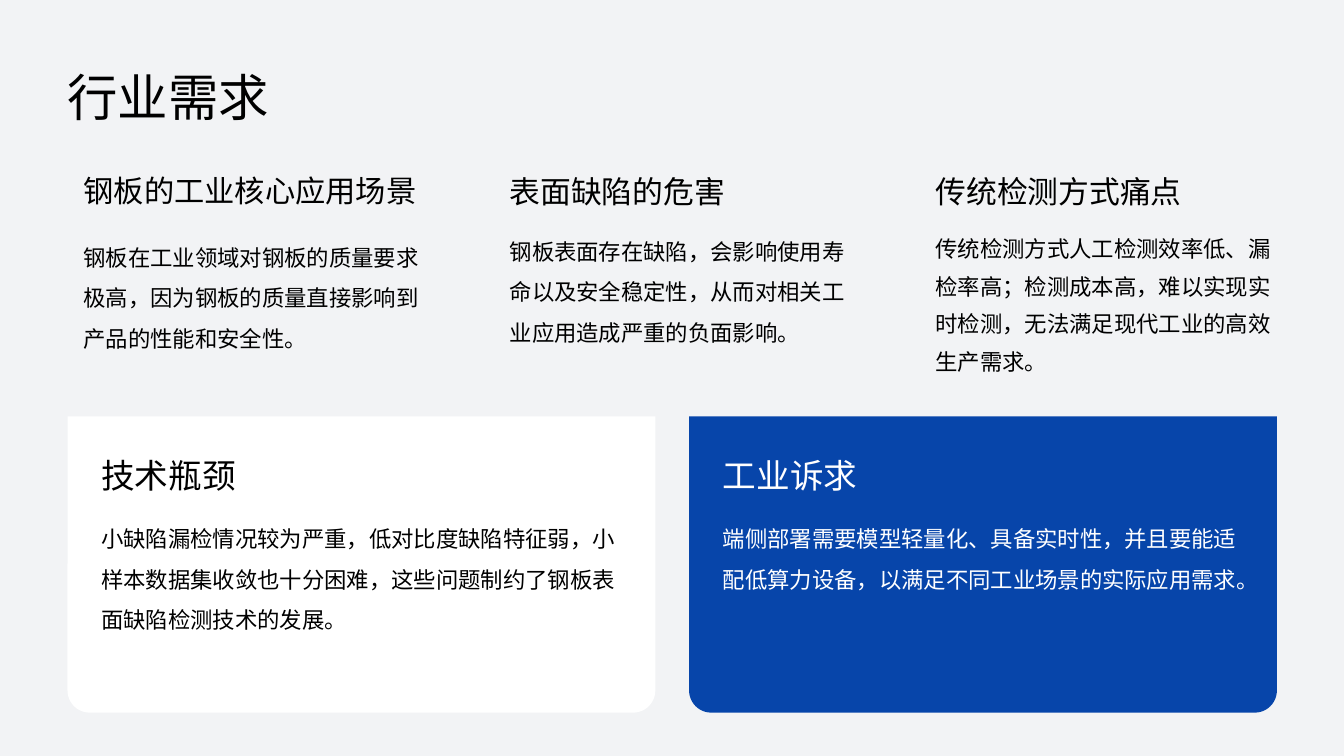
from dataclasses import dataclass

from lxml import etree
from pptx import Presentation
from pptx.dml.color import RGBColor
from pptx.enum.shapes import MSO_SHAPE
from pptx.enum.text import MSO_ANCHOR, PP_ALIGN
from pptx.oxml.ns import qn
from pptx.util import Inches, Pt

BOTTOM_ROUNDED = MSO_SHAPE.ROUND_2_SAME_RECTANGLE
TOP = MSO_ANCHOR.TOP
LEFT = PP_ALIGN.LEFT


@dataclass(frozen=True)
class Theme:
    font: str = "Noto Sans CJK SC"
    background: str = "F2F3F5"
    ink: str = "000000"
    white: str = "FFFFFF"
    blue: str = "0745AA"
    title: float = 36
    topic: float = 22
    long_topic: float = 21.6
    card_heading: float = 24
    body: float = 16
    heading_spacing: float = 1.11
    body_spacing: float = 1.5
    tight_spacing: float = 1.4


THEME = Theme()

# Heading, heading size, body, body top, body line spacing
TOPICS = [
    ("钢板的工业核心应用场景", THEME.long_topic,
     "钢板在工业领域对钢板的质量要求极高，因为钢板的质量直接影响到产品的性能和安全性。",
     2.29, THEME.body_spacing),
    ("表面缺陷的危害", THEME.topic,
     "钢板表面存在缺陷，会影响使用寿命以及安全稳定性，从而对相关工业应用造成严重的负面影响。",
     2.23, THEME.body_spacing),
    ("传统检测方式痛点", THEME.topic,
     "传统检测方式人工检测效率低、漏检率高；检测成本高，难以实现实时检测，无法满足现代工业的高效生产需求。",
     2.23, THEME.tight_spacing),
]

# Heading, body, fill colour, text colour
CARDS = [
    ("技术瓶颈",
     "小缺陷漏检情况较为严重，低对比度缺陷特征弱，小样本数据集收敛也十分困难，这些问题制约了钢板表面缺陷检测技术的发展。",
     THEME.white, THEME.ink),
    ("工业诉求",
     "端侧部署需要模型轻量化、具备实时性，并且要能适配低算力设备，以满足不同工业场景的实际应用需求。",
     THEME.blue, THEME.white),
]

# Layout in inches
MARGIN = 0.67
TOPIC_LEFT, TOPIC_PITCH, TOPIC_WIDTH = 0.83, 4.225, 3.39
CARD_TOP, CARD_WIDTH, CARD_HEIGHT, CARD_PITCH = 4.13, 5.83, 2.94, 6.165
CARD_PADDING, CARD_RADIUS = 0.335, 0.22
HEADING_HEIGHT, BODY_HEIGHT = 0.44, 1.67


def add_text(slide, text, left, top, width, height, size, spacing, color=THEME.ink):
    box = slide.shapes.add_textbox(Inches(left), Inches(top), Inches(width), Inches(height))
    frame_format = {
        "word_wrap": True, "vertical_anchor": TOP,
        "margin_left": 0, "margin_top": 0, "margin_right": 0, "margin_bottom": 0,
    }
    for name, value in frame_format.items():
        setattr(box.text_frame, name, value)
    paragraph = box.text_frame.paragraphs[0]
    paragraph.alignment = LEFT
    paragraph.line_spacing = spacing
    run = paragraph.add_run()
    run.text = text
    for name, value in {"name": THEME.font, "size": Pt(size)}.items():
        setattr(run.font, name, value)
    run.font.color.rgb = RGBColor.from_string(color)
    # Chinese glyphs take the East Asian typeface
    etree.SubElement(run._r.get_or_add_rPr(), qn("a:ea"), typeface=THEME.font)


def add_topic(slide, left, heading, heading_size, body, body_top, body_spacing):
    add_text(slide, heading, left, 1.67, TOPIC_WIDTH, HEADING_HEIGHT,
             heading_size, THEME.heading_spacing)
    add_text(slide, body, left, body_top, TOPIC_WIDTH, BODY_HEIGHT,
             THEME.body, body_spacing)


def add_card(slide, left, heading, body, fill, color):
    panel = slide.shapes.add_shape(BOTTOM_ROUNDED, Inches(left), Inches(CARD_TOP),
                                   Inches(CARD_WIDTH), Inches(CARD_HEIGHT))
    panel.adjustments[0] = 0
    panel.adjustments[1] = CARD_RADIUS / CARD_HEIGHT
    panel.shadow.inherit = False
    panel.fill.solid()
    panel.fill.fore_color.rgb = RGBColor.from_string(fill)
    panel.line.fill.background()

    text_left = left + CARD_PADDING
    text_width = CARD_WIDTH - 2 * CARD_PADDING
    add_text(slide, heading, text_left, 4.47, text_width, HEADING_HEIGHT,
             THEME.card_heading, THEME.heading_spacing, color)
    add_text(slide, body, text_left, 5.08, text_width, BODY_HEIGHT,
             THEME.body, THEME.body_spacing, color)


def main():
    deck = Presentation()
    deck.slide_width, deck.slide_height = Inches(13.33), Inches(7.5)
    slide = deck.slides.add_slide(deck.slide_layouts[6])
    slide.background.fill.solid()
    slide.background.fill.fore_color.rgb = RGBColor.from_string(THEME.background)

    # Title
    add_text(slide, "行业需求", MARGIN, 0.59, 12, 0.67, THEME.title, THEME.heading_spacing)

    # Three topics across the top
    for column, topic in enumerate(TOPICS):
        add_topic(slide, TOPIC_LEFT + column * TOPIC_PITCH, *topic)

    # Two cards below
    for column, card in enumerate(CARDS):
        add_card(slide, MARGIN + column * CARD_PITCH, *card)

    deck.save("out.pptx")


if __name__ == "__main__":
    main()
